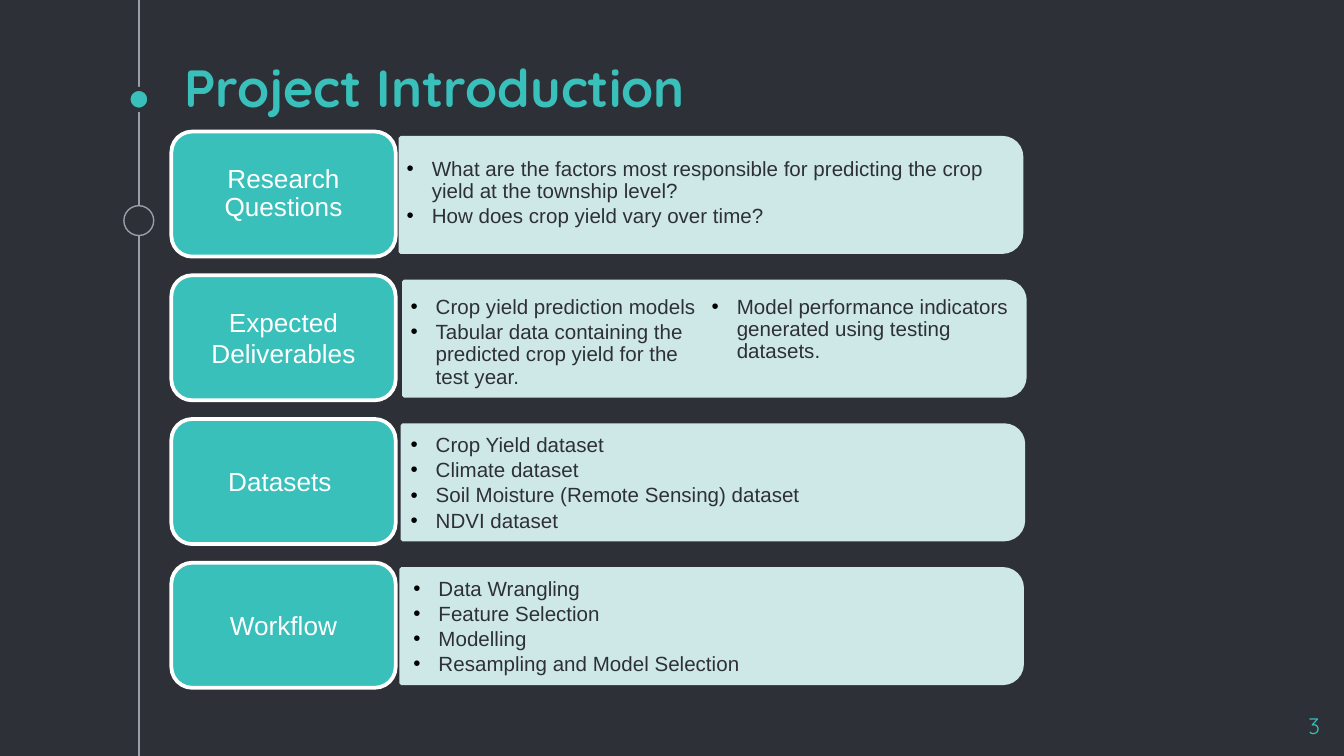
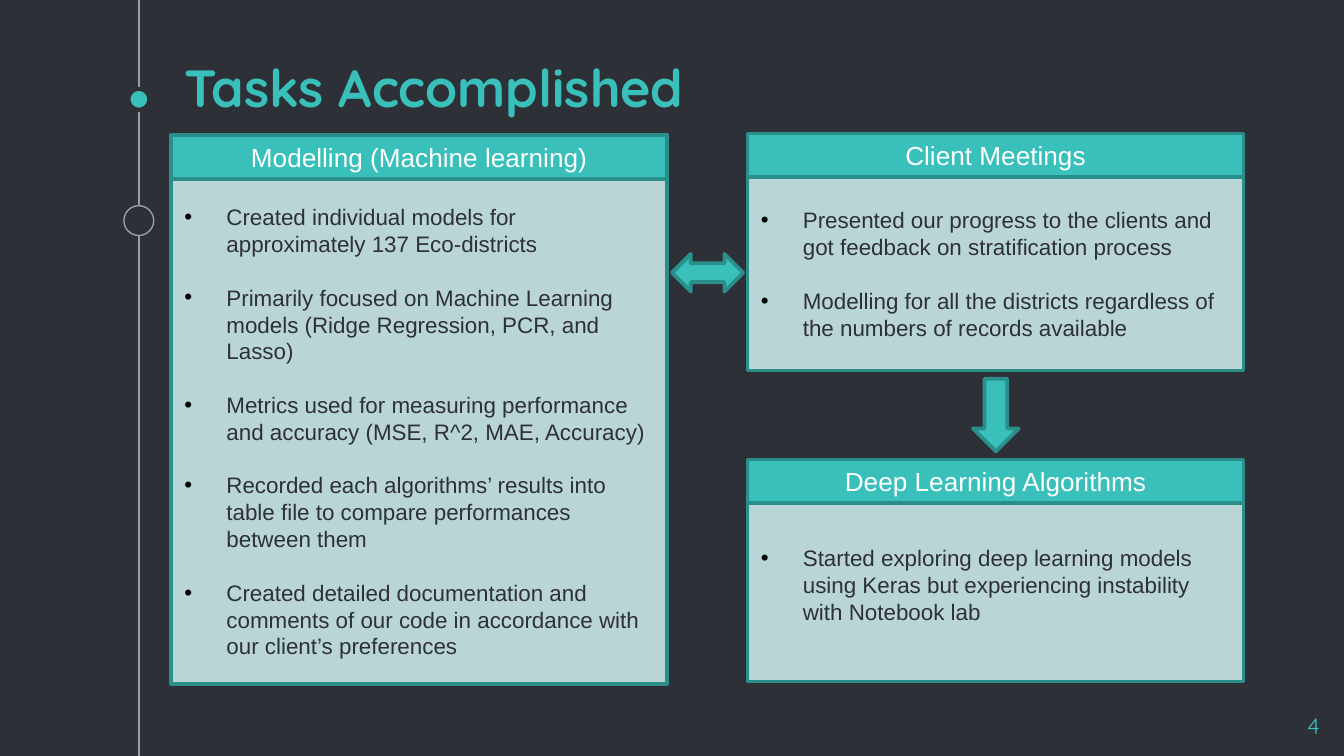
"""Builds two project slides: an introduction and the tasks accomplished."""
from dataclasses import dataclass

from lxml import etree
from pptx import Presentation
from pptx.dml.color import RGBColor
from pptx.enum.shapes import MSO_CONNECTOR, MSO_SHAPE
from pptx.enum.text import MSO_ANCHOR, PP_ALIGN
from pptx.oxml.ns import qn
from pptx.util import Pt

RECT, OVAL = MSO_SHAPE.RECTANGLE, MSO_SHAPE.OVAL
CARD, BAR = MSO_SHAPE.ROUNDED_RECTANGLE, MSO_SHAPE.ROUND_2_SAME_RECTANGLE
BOTH, DOWN = MSO_SHAPE.LEFT_RIGHT_ARROW, MSO_SHAPE.DOWN_ARROW
STRAIGHT = MSO_CONNECTOR.STRAIGHT
TOP, MID, LOW = MSO_ANCHOR.TOP, MSO_ANCHOR.MIDDLE, MSO_ANCHOR.BOTTOM
LEFT, MIDST, RIGHT = PP_ALIGN.LEFT, PP_ALIGN.CENTER, PP_ALIGN.RIGHT

ROWS = [
    ("Research Questions", 214.6, (214.2, -0.9, 38.2), 1, 0.9, [
        "What are the factors most responsible for predicting the crop yield at the township level?",
        "How does crop yield vary over time?"]),
    ("Expected Deliverables", 216.4, (216.3, 2.1, 65.5), 2, 1.0, [
        "Crop yield prediction models",
        "Tabular data containing the predicted crop yield for the test year.",
        "Model performance indicators generated using testing datasets."]),
    ("Datasets ", 215.6, (216.3, 0.7, 65.5), 1, 1.0, [
        "Crop Yield dataset",
        "Climate dataset",
        "Soil Moisture (Remote Sensing) dataset",
        "NDVI dataset"]),
    ("Workflow", 214.9, (217.8, 0.7, 38.2), 1, 1.0, [
        "Data Wrangling",
        "Feature Selection",
        "Modelling",
        "Resampling and Model Selection"]),
]

PANELS = [
    ("Modelling (Machine learning)", (91.7, 72.2, 23.6), (95.8, 270.7), [
        "Created individual models for approximately 137 Eco-districts",
        "Primarily focused on Machine Learning models (Ridge Regression, PCR, and Lasso)",
        "Metrics used for measuring performance and accuracy (MSE, R^2, MAE, Accuracy)",
        "Recorded each algorithms’ results into table file to compare performances between them",
        "Created detailed documentation and comments of our code in accordance with our client’s preferences"]),
    ("Client Meetings", (400.5, 71.5, 23.2), (94.8, 103.7), [
        "Presented our progress to the clients and got feedback on stratification process",
        "Modelling for all the districts regardless of the numbers of records available"]),
    ("Deep Learning Algorithms", (400.5, 246.2, 23.2), (261.5, 103.7), [
        "Started exploring deep learning models using Keras but experiencing instability with Notebook lab"]),
]

ARROWS = [(BOTH, (360, 136, 38.2, 20.2)), (DOWN, (521.3, 203, 24.5, 38.9))]


@dataclass(frozen=True)
class Theme:
    """Colours, fonts and type sizes."""
    dark: str = "2E3037"
    teal: str = "39C0BA"
    edge: str = "2A8E8A"
    grey: str = "999FA9"
    mint: str = "CEE8E7"
    pale: str = "BAD5D5"
    white: str = "FFFFFF"
    dot: str = "000000"
    head: str = "Quicksand"
    body: str = "Arial"
    title: float = 28
    label: float = 14
    item: float = 11
    task: float = 12
    page: float = 12


T = Theme()
WIDE, TALL = 720, 405


def put(thing, vals):
    """Set each named value on an object."""
    for name, val in vals.items():
        setattr(thing, name, val)


def rgb(code):
    """Turn a hex code into a colour."""
    return RGBColor.from_string(code)


def shape(slide, kind, box, fill, line, width=2):
    """Add a flat preset shape."""
    part = slide.shapes.add_shape(kind, *map(Pt, box))
    part.shadow.inherit = False
    part.fill.solid()
    part.fill.fore_color.rgb = rgb(fill)
    part.line.color.rgb = rgb(line)
    part.line.width = Pt(width)
    return part


def write(part, texts, size, color, font=T.body, bold=False, align=LEFT,
          anchor=MID, pad=(7.2, 3.6), hang=0, para=None, gap=0):
    """Fill a shape with paragraphs, bulleted when hang is set."""
    frame = part.text_frame
    side, ends = map(Pt, pad)
    put(frame, dict(word_wrap=True, vertical_anchor=anchor, margin_left=side,
                    margin_right=side, margin_top=ends, margin_bottom=ends))
    for n, text in enumerate(texts):
        line = frame.add_paragraph() if n else frame.paragraphs[0]
        put(line, dict(alignment=align, **(para or {})))
        if n and gap:
            line.space_before = Pt(gap)
        run = line.add_run()
        run.text = text
        put(run.font, dict(name=font, size=Pt(size), bold=bold))
        run.font.color.rgb = rgb(color)
        if hang:
            props = line._p.get_or_add_pPr()
            props.set("marL", str(Pt(hang)))
            props.set("indent", str(-Pt(hang)))
            tint = etree.SubElement(props, qn("a:buClr"))
            etree.SubElement(tint, qn("a:srgbClr"), val=T.dot)
            etree.SubElement(props, qn("a:buFont"), typeface=font)
            etree.SubElement(props, qn("a:buChar"), char="•")


def text(slide, box, texts, size, color, **form):
    """Add a text box."""
    part = slide.shapes.add_textbox(*map(Pt, box))
    write(part, texts, size, color, **form)
    return part


def start(deck, title, page):
    """Add a slide with its backdrop, rail, title and page number."""
    slide = deck.slides.add_slide(deck.slide_layouts[6])
    slide.background.fill.solid()
    slide.background.fill.fore_color.rgb = rgb(T.dark)
    rail = slide.shapes.add_connector(STRAIGHT, Pt(74.4), 0, Pt(74.4), Pt(TALL))
    rail.line.color.rgb = rgb(T.grey)
    rail.line.width = Pt(0.75)
    etree.SubElement(rail._element.spPr, qn("a:effectLst"))
    shape(slide, OVAL, (68.8, 47.6, 11.2, 11.2), T.teal, T.dark, 2.25)
    shape(slide, OVAL, (66.4, 110.2, 16, 16), T.dark, T.grey, 0.75)
    text(slide, (91.7, 43.2, 540, 27.4), [title], T.title, T.teal,
         font=T.head, bold=True, anchor=LOW, pad=(7.2, 7.2))
    text(slide, (671, 374.4, 43.2, 24.5), [str(page)], T.page, T.teal,
         font=T.head, align=RIGHT, anchor=TOP, pad=(7.2, 7.2))
    return slide


def bar(slide, x, y, w, h):
    """Add a bar with its round end on the right."""
    shift = (w - h) / 2
    part = shape(slide, BAR, (x + shift, y - shift, h, w), T.mint, T.mint)
    part.rotation = 90


def intro(deck):
    """Build the introduction rows."""
    slide = start(deck, "Project Introduction", 3)
    pitch, high = 77, 61.2
    for n, (label, x, (left, drop, tall), cols, lead, items) in enumerate(ROWS):
        y = 73.8 + n * pitch
        bar(slide, x, y, 332.6, high)
        top = y + (high - tall) / 2 + drop
        note = text(slide, (left, top, 329.8, tall), items, T.item, T.dark,
                    pad=(3.6, 1.44), hang=13.5,
                    para=dict(line_spacing=0.9, space_after=Pt(1.65)))
        if cols > 1:
            note.text_frame._txBody.bodyPr.set("numCol", str(cols))
        card = shape(slide, CARD, (91.8, y - 3.3, 120.2, 67), T.teal, T.white)
        write(card, [label], T.label, T.white, align=MIDST, pad=(8.6, 5.8),
              para=dict(line_spacing=lead))


def tasks(deck):
    """Build the task panels and the arrows between them."""
    slide = start(deck, "Tasks Accomplished", 4)
    wide = 265.7
    for label, (x, y, high), (top, tall), items in PANELS:
        body = shape(slide, RECT, (x, top, wide, tall), T.pale, T.edge)
        write(body, items, T.task, T.dark, hang=22.5, gap=14.3)
        head = shape(slide, RECT, (x, y, wide, high), T.teal, T.edge)
        write(head, [label], T.label, T.white, align=MIDST)
    for kind, box in ARROWS:
        shape(slide, kind, box, T.teal, T.edge)


def main():
    """Build and save the deck."""
    deck = Presentation()
    put(deck, dict(slide_width=Pt(WIDE), slide_height=Pt(TALL)))
    intro(deck)
    tasks(deck)
    deck.save("out.pptx")


if __name__ == "__main__":
    main()
